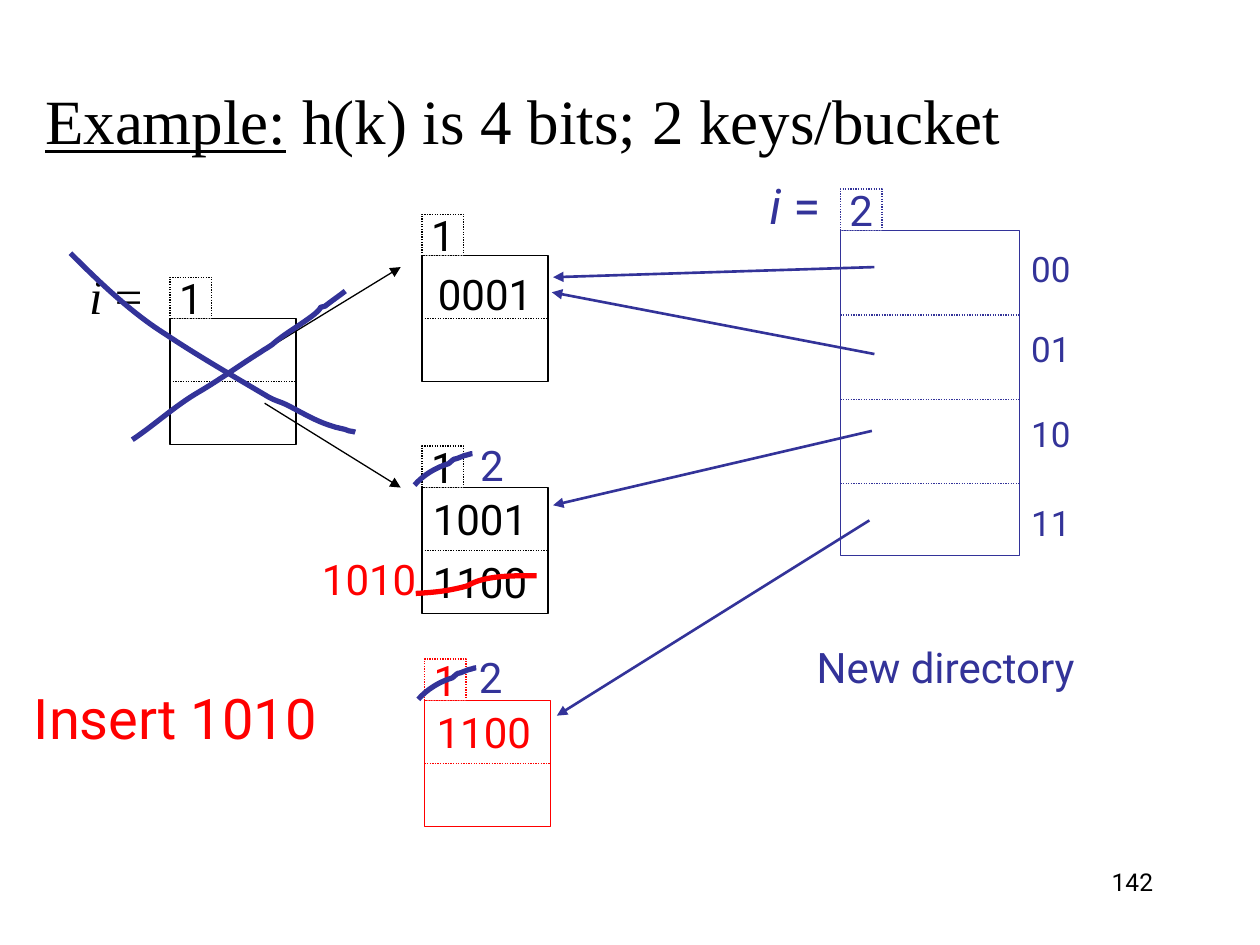
from lxml import etree
from pptx import Presentation
from pptx.dml.color import RGBColor
from pptx.enum.dml import MSO_LINE
from pptx.enum.shapes import MSO_CONNECTOR, MSO_SHAPE
from pptx.enum.text import MSO_ANCHOR, PP_ALIGN
from pptx.oxml.ns import qn
from pptx.util import Inches, Pt

BLACK = RGBColor(0x00, 0x00, 0x00)
WHITE = RGBColor(0xFF, 0xFF, 0xFF)
RED = RGBColor(0xFF, 0x00, 0x00)
BLUE = RGBColor(0x33, 0x33, 0x99)
LEFT, CENTER, RIGHT = PP_ALIGN.LEFT, PP_ALIGN.CENTER, PP_ALIGN.RIGHT
TOP, MIDDLE = MSO_ANCHOR.TOP, MSO_ANCHOR.MIDDLE
DOTTED = MSO_LINE.ROUND_DOT
SANS, SERIF = "Roboto", "Times New Roman"
TAG = 0.33  # side of the small bit-count squares

deck = Presentation()
deck.slide_width, deck.slide_height = Inches(10), Inches(7.5)
page = deck.slides.add_slide(deck.slide_layouts[6])


def write(box, texts, size, color, align=CENTER, anchor=MIDDLE, wrap=False, font=SANS):
    """Put one run per text into the first paragraph and return it."""
    frame = box.text_frame
    frame.word_wrap = wrap
    frame.vertical_anchor = anchor
    para = frame.paragraphs[0]
    para.alignment = align
    para.font.name, para.font.size = font, Pt(size)
    para.font.color.rgb = color
    for text in texts:
        para.add_run().text = text
    return para


def draw_line(start, end, color, width=0.75, arrow=False):
    """Draw a solid arrow or a dotted divider."""
    ends = [Inches(value) for value in (*start, *end)]
    line = page.shapes.add_connector(MSO_CONNECTOR.STRAIGHT, *ends)
    line.line.color.rgb = color
    line.line.width = Pt(width)
    if arrow:
        etree.SubElement(line.line._ln, qn("a:tailEnd"), type="triangle")
    else:
        line.line.dash_style = DOTTED
    etree.SubElement(line._element.spPr, qn("a:effectLst"))


# Title, slide number and the two "i =" labels
for area, texts, size, color, align, anchor, font in [
    ((0.26, 0.32, 9.1, 1.25), ["Example:", " h(k) is 4 bits; 2 keys/bucket"],
     36, BLACK, LEFT, MIDDLE, SERIF),
    ((7.17, 6.83, 2.08, 0.5), ["142"], 14, BLACK, RIGHT, TOP, SANS),
    ((0.61, 2.06, 0.86, 0.62), ["i", " ="], 28, BLACK, LEFT, TOP, SERIF),
    ((6.01, 1.34, 0.86, 0.62), ["i", " ="], 28, BLUE, LEFT, TOP, SANS),
    ((0.17, 5.38, 2.51, 0.62), ["Insert 1010"], 32, RED, LEFT, MIDDLE, SANS),
]:
    box = page.shapes.add_textbox(*map(Inches, area))
    para = write(box, texts, size, color, align, anchor, True, font)
    if texts[0] == "Example:":
        para.runs[0].font.underline = True
    elif texts[0] == "i":
        para.runs[0].font.italic = True

# Directories and buckets: outline, bit-count square, row dividers
for x, y, width, height, rows, row_height, bits, color in [
    (1.35, 2.53, 1, 1, 2, 0.5, "1", BLACK),
    (3.35, 2.03, 1, 1, 2, 0.5, "1", BLACK),
    (3.35, 3.87, 1, 1, 2, 0.5, "1", BLACK),
    (3.37, 5.56, 1, 1, 2, 0.5, "1", RED),
    (6.67, 1.83, 1.42, 2.58, 4, 0.67, "2", BLUE),
]:
    for area in [(x, y, width, height), (x, y - TAG, TAG, TAG)]:
        box = page.shapes.add_shape(MSO_SHAPE.RECTANGLE, *map(Inches, area))
        box.shadow.inherit = False
        box.fill.solid()
        box.fill.fore_color.rgb = WHITE
        box.line.color.rgb = color
        box.line.width = Pt(0.75)
    box.line.dash_style = DOTTED
    write(box, [bits], 24, color)
    for row in range(1, rows):
        divider = y + row * row_height
        draw_line((x, divider), (x + width, divider), color)

# Keys, new bit counts and the directory caption
for x, y, width, text, color in [
    (3.37, 2.08, 0.96, "0001", BLACK),
    (3.33, 3.87, 0.96, "1001", BLACK),
    (3.33, 4.37, 0.96, "1100", BLACK),
    (3.36, 5.56, 0.96, "1100", RED),
    (2.45, 4.34, 0.96, "1010", RED),
    (3.71, 3.44, 0.39, "2", BLUE),
    (3.70, 5.12, 0.39, "2", BLUE),
    (6.31, 5.04, 2.39, "New directory", BLUE),
]:
    box = page.shapes.add_textbox(Inches(x), Inches(y), Inches(width), Inches(0.5))
    write(box, [text], 24, color)

# Directory entries
box = page.shapes.add_textbox(Inches(8.08), Inches(1.91), Inches(0.52), Inches(2.46))
write(box, ["00"], 20, BLUE)
for text, spacing in [("01", 1.4), ("10", 1.5), ("11", 1.6)]:
    para = box.text_frame.add_paragraph()
    para.text = text
    para.alignment = CENTER
    para.space_before, para.line_spacing = Pt(12.5), spacing
    para.font.name, para.font.size = SANS, Pt(20)
    para.font.color.rgb = BLUE

# Pointers from directory rows to buckets
for start, end, color, width in [
    ((2.1, 2.78), (3.18, 2.12), BLACK, 0.75),
    ((2.1, 3.2), (3.18, 3.87), BLACK, 0.75),
    ((6.94, 2.12), (4.39, 2.2), BLUE, 1.5),
    ((6.94, 2.81), (4.38, 2.32), BLUE, 1.5),
    ((6.92, 3.42), (4.39, 4.01), BLUE, 1.5),
    ((6.9, 4.13), (4.42, 5.68), BLUE, 1.5),
]:
    draw_line(start, end, color, width, arrow=True)

# Hand-drawn strokes: a start point, then three Bezier points per segment
tag_stroke = [(3.29, 3.85), (3.36, 3.77), (3.46, 3.71), (3.56, 3.68),
              (3.63, 3.62), (3.58, 3.66), (3.65, 3.63),
              (3.68, 3.62), (3.69, 3.61), (3.71, 3.61),
              (3.73, 3.6), (3.75, 3.6), (3.75, 3.6)]
key_stroke = [(3.3, 4.71), (3.47, 4.7), (3.56, 4.69), (3.71, 4.65),
              (3.85, 4.56), (4.11, 4.57), (4.26, 4.57)]
rising_stroke = [(1.05, 3.49), (1.23, 3.37), (1.39, 3.22), (1.58, 3.11),
                 (1.75, 3.01), (1.9, 2.9), (2.06, 2.8),
                 (2.1, 2.77), (2.15, 2.75), (2.19, 2.71),
                 (2.29, 2.63), (2.4, 2.57), (2.5, 2.49),
                 (2.58, 2.42), (2.51, 2.45), (2.58, 2.43),
                 (2.63, 2.39), (2.69, 2.35), (2.74, 2.31)]
falling_stroke = [(0.56, 2.01), (0.79, 2.24), (1.04, 2.48), (1.31, 2.65),
                  (1.58, 2.83), (1.86, 2.99), (2.13, 3.15),
                  (2.18, 3.18), (2.23, 3.19), (2.27, 3.21),
                  (2.39, 3.27), (2.5, 3.34), (2.63, 3.38),
                  (2.68, 3.4), (2.73, 3.4), (2.77, 3.42),
                  (2.79, 3.42), (2.82, 3.43), (2.82, 3.43)]
for points, dx, dy, color in [
    (key_stroke, 0, 0, RED),
    (tag_stroke, 0, 0, BLUE),
    (tag_stroke, 0.03, 1.7, BLUE),
    (rising_stroke, 0, 0, BLUE),
    (falling_stroke, 0, 0, BLUE),
]:
    points = [(Inches(x + dx), Inches(y + dy)) for x, y in points]
    builder = page.shapes.build_freeform(*points[0], scale=1.0)
    builder.add_line_segments(points[1:], close=False)
    stroke = builder.convert_to_shape()
    # Join every three straight segments into one Bezier curve
    segments = list(stroke._element.iter(qn("a:lnTo")))
    outline = segments[0].getparent()
    for first in range(0, len(segments), 3):
        curve = etree.SubElement(outline, qn("a:cubicBezTo"))
        for segment in segments[first:first + 3]:
            curve.append(segment[0])
            outline.remove(segment)
    stroke.shadow.inherit = False
    stroke.fill.background()
    stroke.line.color.rgb = color
    stroke.line.width = Pt(3)

deck.save("out.pptx")
